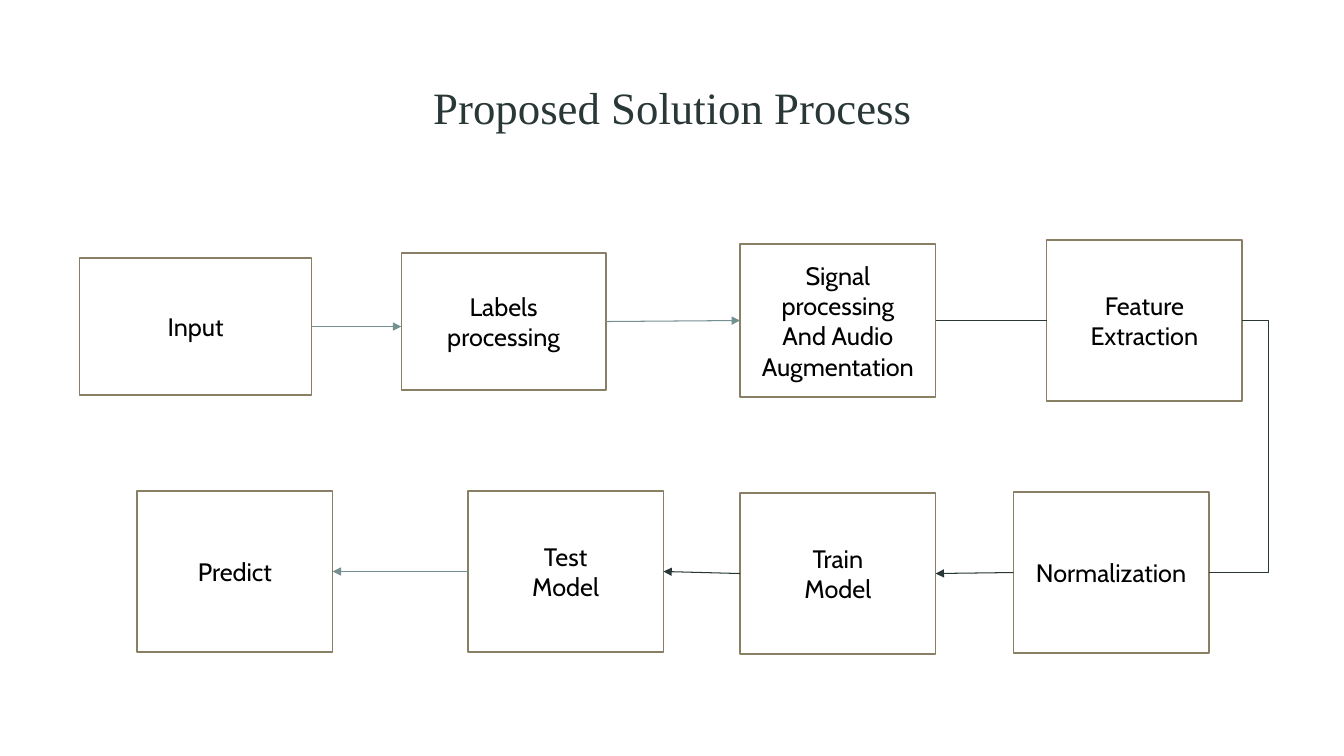
from pptx import Presentation
from pptx.dml.color import RGBColor
from pptx.enum.shapes import MSO_CONNECTOR as CONN, MSO_SHAPE as SHAPE
from pptx.enum.text import MSO_ANCHOR as ANCHOR, PP_ALIGN as ALIGN
from pptx.oxml.ns import qn
from pptx.util import Inches, Pt
from lxml.etree import SubElement

COLORS = {"ink": "293737", "teal": "749090", "border": "897F65",
          "white": "FFFFFF", "black": "000000"}
TOP, LEFT, BOTTOM, RIGHT = range(4)


def rgb(name):
    return RGBColor.from_string(COLORS[name])


class FlowSlide:
    title_font = {"name": "Times New Roman", "size": Pt(32)}
    box_font = {"name": "Cabin", "size": Pt(18)}

    def __init__(self, prs):
        self.shapes = prs.slides.add_slide(prs.slide_layouts[6]).shapes

    def set_text(self, sp, lines, anchor, font, color, spacing=None):
        tf = sp.text_frame
        tf.word_wrap = True
        tf.vertical_anchor = anchor
        for i, line in enumerate(lines):
            p = tf.paragraphs[0] if i == 0 else tf.add_paragraph()
            p.alignment = ALIGN.CENTER
            p.line_spacing = spacing
            r = p.add_run()
            r.text = line
            for key, value in font.items():
                setattr(r.font, key, value)
            r.font.color.rgb = rgb(color)

    def title(self, text, *frame):
        sp = self.shapes.add_textbox(*map(Inches, frame))
        self.set_text(sp, [text], ANCHOR.BOTTOM, self.title_font, "ink", 0.9)

    def box(self, lines, *frame):
        sp = self.shapes.add_shape(SHAPE.RECTANGLE, *map(Inches, frame))
        sp.shadow.inherit = False
        sp.fill.solid()
        sp.fill.fore_color.rgb = rgb("white")
        sp.line.color.rgb = rgb("border")
        sp.line.width = Pt(1)
        self.set_text(sp, lines, ANCHOR.MIDDLE, self.box_font, "black")
        return sp

    def link(self, start, end, color, arrow=True, sides=(RIGHT, LEFT),
             end_at=None, bend=None):
        kind = CONN.STRAIGHT if bend is None else CONN.ELBOW
        x, y = map(Inches, end_at or (0, 0))
        sp = self.shapes.add_connector(kind, 0, 0, x, y)
        sp.begin_connect(start, sides[0])
        if end_at is None:
            sp.end_connect(end, sides[1])
        sp.line.color.rgb = rgb(color)
        sp.line.width = Pt(0.75)
        props = sp._element.spPr
        SubElement(props, qn("a:effectLst"))
        if arrow:
            SubElement(props.find(qn("a:ln")), qn("a:tailEnd"), type="triangle")
        if bend is not None:
            guides = props.find(qn("a:prstGeom")).get_or_add_avLst()
            SubElement(guides, qn("a:gd"), name="adj1", fmla=f"val {bend}")


def main():
    prs = Presentation()
    prs.slide_width, prs.slide_height = Inches(13.33), Inches(7.5)
    s = FlowSlide(prs)
    s.title("Proposed Solution Process", 1.48, 0.71, 10.38, 0.67)

    w, h = 1.94, 1.6
    source = s.box(["Input"], 0.79, 2.56, 2.3, 1.36)
    labels = s.box(["Labels", "processing"], 3.98, 2.51, 2.03, 1.36)
    signal = s.box(["Signal processing", "And Audio", "Augmentation"],
                   7.34, 2.42, w, 1.52)
    feature = s.box(["Feature", "Extraction"], 10.38, 2.38, w, h)
    normal = s.box(["Normalization"], 10.05, 4.88, w, h)
    train = s.box(["Train", "Model"], 7.34, 4.89, w, h)
    test = s.box(["Test", "Model"], 4.64, 4.87, w, h)
    predict = s.box(["Predict"], 1.36, 4.87, w, h)

    back = (LEFT, RIGHT)
    s.link(source, labels, "teal", end_at=(3.98, 3.24))
    s.link(labels, signal, "teal")
    s.link(signal, feature, "ink", arrow=False)
    s.link(feature, normal, "ink", arrow=False, sides=(RIGHT, RIGHT), bend=-78100)
    s.link(normal, train, "ink", sides=back)
    s.link(train, test, "ink", sides=back)
    s.link(test, predict, "teal", sides=back)

    prs.save("out.pptx")


if __name__ == "__main__":
    main()
